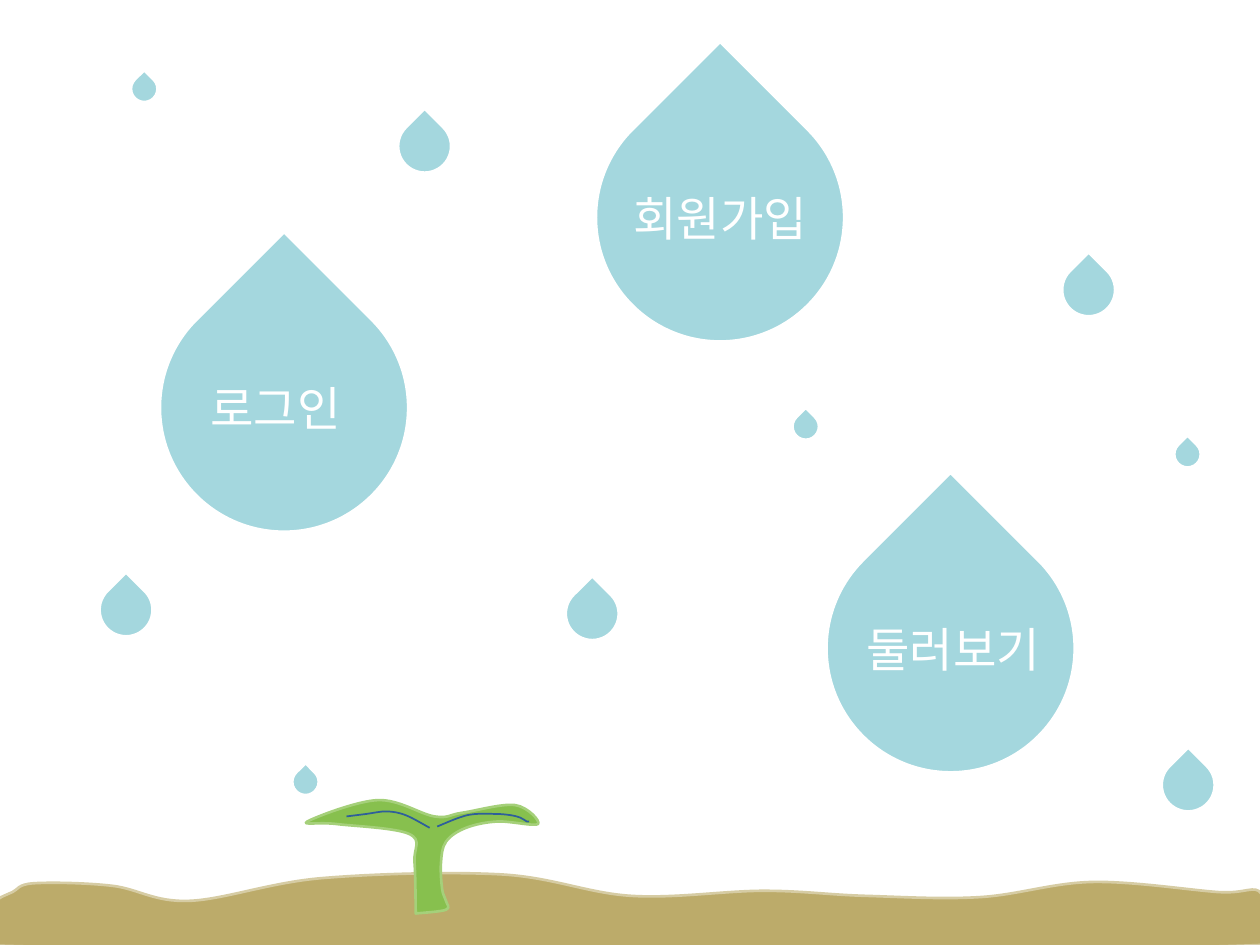
from dataclasses import dataclass
from itertools import chain

from lxml.etree import SubElement
from pptx import Presentation
from pptx.dml.color import RGBColor as Rgb
from pptx.enum.shapes import MSO_SHAPE as Shape
from pptx.enum.text import MSO_ANCHOR as Anchor, PP_ALIGN as Align
from pptx.oxml.ns import qn
from pptx.util import Inches, Pt


@dataclass(frozen=True)
class Theme:
    water: Rgb = Rgb.from_string("A4D7DE")
    white: Rgb = Rgb.from_string("FFFFFF")
    soil: Rgb = Rgb.from_string("BCAB6A")
    soil_edge: Rgb = Rgb.from_string("D6CCA4")
    leaf: Rgb = Rgb.from_string("87C04E")
    leaf_edge: Rgb = Rgb.from_string("A5D07A")
    vein: Rgb = Rgb.from_string("2E5F9A")
    font: str = "Noto Sans CJK KR"
    label_size: Pt = Pt(27)
    edge: Pt = Pt(1.5)
    vein_width: Pt = Pt(1)


theme = Theme()
deck = Presentation()
deck.slide_width, deck.slide_height = Inches(10), Inches(7.5)
slide = deck.slides.add_slide(deck.slide_layouts[6])
cell = deck.slide_width / 10


def paint(shape, fill, line, width):
    shape.shadow.inherit = False
    if fill is None:
        shape.fill.background()
    else:
        shape.fill.solid()
        shape.fill.fore_color.rgb = fill
    shape.line.color.rgb = line
    shape.line.width = width


def smooth_outline(box, knots, fill, line, width):
    left, top, wide, high = [round(v * cell) for v in box]
    points = [(round(x * cell), round(y * cell)) for x, y in knots]
    builder = slide.shapes.build_freeform(*points[0])
    builder.add_line_segments(points[1:], close=fill is not None)
    shape = builder.convert_to_shape()
    shape.left, shape.top, shape.width, shape.height = left, top, wide, high
    outline = next(shape._element.iter(qn("a:path")))
    outline.set("w", str(wide))
    outline.set("h", str(high))
    start = outline.find(qn("a:moveTo")).find(qn("a:pt"))
    start.set("x", str(points[0][0] - left))
    start.set("y", str(points[0][1] - top))
    padded = [points[0], *points, points[-1]]
    spans = zip(padded, padded[1:], padded[2:], padded[3:])
    for segment, (a, b, c, d) in zip(outline.findall(qn("a:lnTo")), spans):
        leaving = [b[i] + (c[i] - a[i]) / 6 for i in (0, 1)]
        arriving = [c[i] - (d[i] - b[i]) / 6 for i in (0, 1)]
        curve = SubElement(outline, qn("a:cubicBezTo"))
        for x, y in (leaving, arriving, c):
            SubElement(curve, qn("a:pt"), x=str(round(x - left)), y=str(round(y - top)))
        outline.replace(segment, curve)
    paint(shape, fill, line, width)


drops = {
    1.97: [(1.27, 2.25), (4.73, 0.74), (6.56, 4.16)],
    0.42: [(0.79, 4.63), (3.16, 0.95), (8.43, 2.09), (4.49, 4.66), (9.22, 6.02)],
    0.21: [(1.04, 0.6), (6.29, 3.28), (2.32, 6.1), (9.32, 3.5)],
}
for size, (left, top) in chain.from_iterable(
    [(size, place) for place in places] for size, places in drops.items()
):
    box = [round(v * cell) for v in (left, top, size, size)]
    drop = slide.shapes.add_shape(Shape.TEAR, *box)
    drop.rotation = 315
    paint(drop, theme.water, theme.white, theme.edge)

ground = [
    (0.01, 7.12), (0.1, 7.08), (0.27, 7.01), (0.89, 7.03), (1.5, 7.15),
    (2.55, 6.97), (3.98, 6.94), (5.01, 7.11), (6.06, 7.07), (6.87, 7.11),
    (7.78, 7.12), (8.67, 7), (9.67, 7.08), (10.01, 7.09), (10.01, 7.5),
    (-0.17, 7.5), (0.01, 7.12),
]
sprout = [
    (3.3, 7.25), (3.29, 6.84), (3.25, 6.62), (2.67, 6.54), (2.44, 6.52),
    (3, 6.35), (3.45, 6.48), (3.67, 6.45), (4.09, 6.39), (4.27, 6.54),
    (3.95, 6.52), (3.7, 6.57), (3.54, 6.68), (3.5, 6.85), (3.51, 7.06),
    (3.54, 7.15), (3.54, 7.22), (3.3, 7.25),
]
left_vein = [(3.41, 6.57), (3.22, 6.47), (3.07, 6.44), (2.91, 6.46), (2.75, 6.48)]
right_vein = [
    (3.47, 6.56), (3.71, 6.47), (3.92, 6.46), (4.05, 6.47),
    (4.13, 6.49), (4.18, 6.52), (4.2, 6.52),
]
ground_box, sprout_box = (-0.87, 6.93, 11.64, 0.62), (2.42, 6.35, 1.84, 0.89)
left_vein_box, right_vein_box = (2.75, 6.44, 0.65, 0.14), (3.47, 6.46, 0.72, 0.1)
smooth_outline(ground_box, ground, theme.soil, theme.soil_edge, theme.edge)
smooth_outline(sprout_box, sprout, theme.leaf, theme.leaf_edge, theme.edge)
for box, vein in ((left_vein_box, left_vein), (right_vein_box, right_vein)):
    smooth_outline(box, vein, None, theme.vein, theme.vein_width)

menu = [
    ("로그인", 1.57, 2.96, 1.42, Align.LEFT),
    ("회원가입", 4.7, 1.45, 2.03, Align.CENTER),
    ("둘러보기", 6.55, 4.87, 2.03, Align.CENTER),
]
for wording, left, top, width, align in menu:
    box = [round(v * cell) for v in (left, top, width, 0.54)]
    frame = slide.shapes.add_textbox(*box).text_frame
    frame.word_wrap = True
    frame.vertical_anchor = Anchor.TOP
    label = frame.paragraphs[0]
    label.text = wording
    label.alignment = align
    label.font.size = theme.label_size
    label.font.color.rgb = theme.white
    label.font.name = theme.font
    hangul = SubElement(label._p.pPr.find(qn("a:defRPr")), qn("a:ea"))
    hangul.set("typeface", theme.font)

deck.save("out.pptx")
